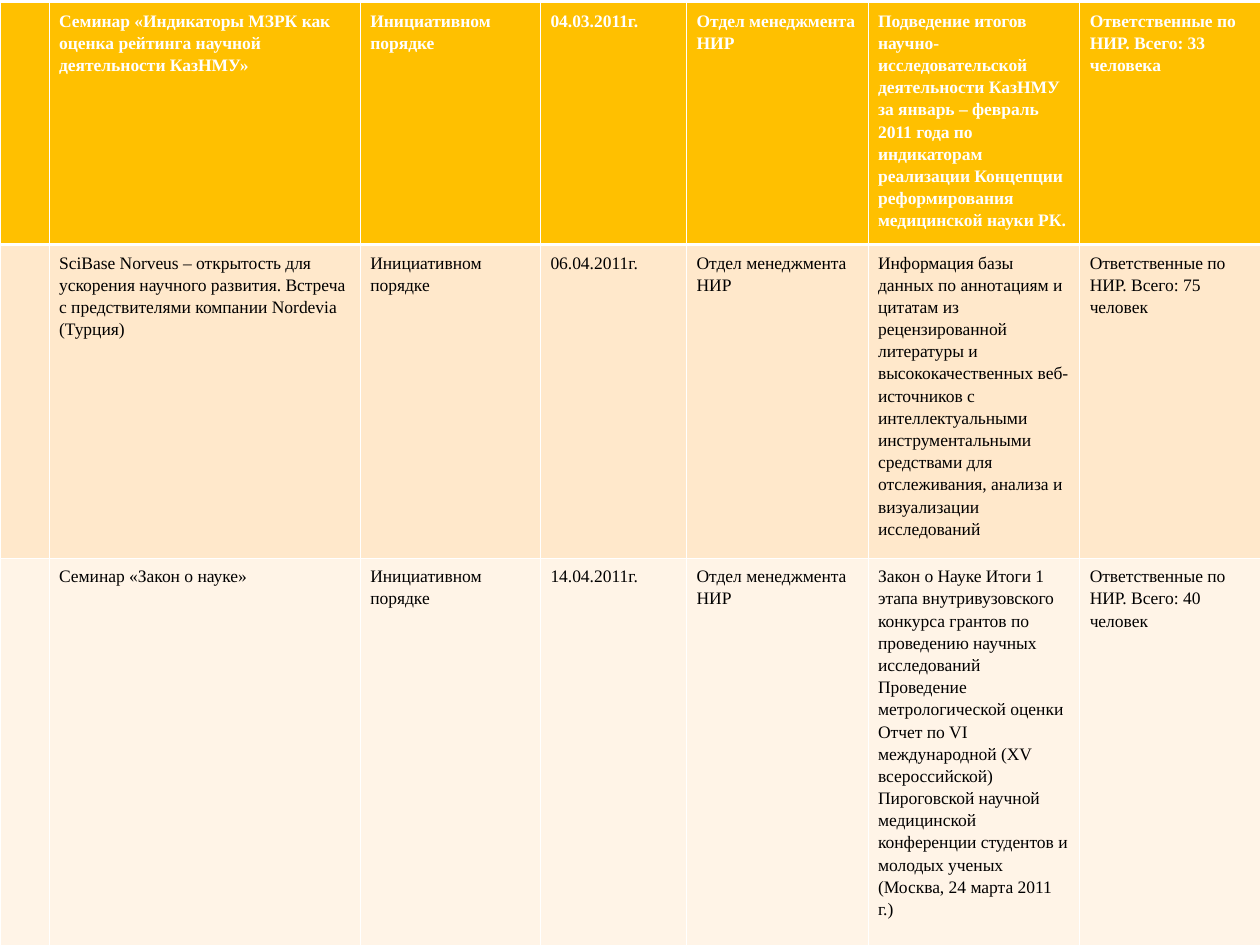
from lxml import etree
from pptx import Presentation
from pptx.dml.color import RGBColor
from pptx.oxml.ns import qn
from pptx.util import Inches, Pt

FONT = "Times New Roman"
WHITE = "FFFFFF"
BLACK = "000000"
THIN, THICK = 0.45, 1.47
COLUMN_WIDTHS = [0.39, 2.47, 1.43, 1.16, 1.44, 1.68, 1.43]
ROW_HEIGHTS = [1.92, 2.49, 3.07]
ROW_STYLES = [
    ("FFC000", WHITE, True, THIN, THICK),
    ("FFE8CB", BLACK, False, THICK, THIN),
    ("FFF4E7", BLACK, False, THIN, THIN),
]
ORDER = "Инициативном порядке"
DEPARTMENT = "Отдел менеджмента НИР"
EVENTS = [
    (
        "Семинар «Индикаторы МЗРК как оценка рейтинга научной деятельности КазНМУ»",
        "04.03.2011г.",
        "Подведение итогов научно- исследовательской деятельности КазНМУ за январь – "
        "февраль 2011 года по индикаторам реализации Концепции реформирования "
        "медицинской науки РК.",
        "33 человека",
    ),
    (
        "SciBase Norveus – открытость для ускорения научного развития. Встреча "
        "с предствителями компании Nordevia (Турция)",
        "06.04.2011г.",
        "Информация базы данных по аннотациям и цитатам из рецензированной литературы "
        "и высококачественных веб-источников с интеллектуальными инструментальными "
        "средствами для отслеживания, анализа и визуализации исследований",
        "75 человек",
    ),
    (
        "Семинар «Закон о науке»",
        "14.04.2011г.",
        "Закон о Науке Итоги 1 этапа внутривузовского конкурса грантов по проведению "
        "научных исследований Проведение метрологической оценки Отчет по VI "
        "международной (XV всероссийской) Пироговской научной медицинской конференции "
        "студентов и молодых ученых (Москва, 24 марта 2011 г.)",
        "40 человек",
    ),
]


def rgb(color):
    return RGBColor.from_string(color)


def set_borders(cell, top, bottom):
    properties = cell._tc.get_or_add_tcPr()
    sides = {"a:lnL": THIN, "a:lnR": THIN, "a:lnT": top, "a:lnB": bottom}
    for side, width in sides.items():
        border = etree.SubElement(properties, qn(side), w=str(Pt(width)))
        fill = etree.SubElement(border, qn("a:solidFill"))
        etree.SubElement(fill, qn("a:srgbClr"), val=WHITE)


def add_tabs(paragraph):
    tabs = etree.SubElement(paragraph._p.get_or_add_pPr(), qn("a:tabLst"))
    for position in range(8):
        etree.SubElement(tabs, qn("a:tab"), pos=str(Inches(position)), algn="l")


def fill_cell(cell, text, style):
    background, text_color, bold, top, bottom = style
    set_borders(cell, top, bottom)
    cell.fill.solid()
    cell.fill.fore_color.rgb = rgb(background)
    cell.margin_left = cell.margin_right = Inches(0.08)
    cell.margin_top = cell.margin_bottom = Inches(0.05)
    if not text:
        return
    paragraph = cell.text_frame.paragraphs[0]
    paragraph.text = text
    add_tabs(paragraph)
    paragraph.line_spacing = 1.15
    font = paragraph.runs[0].font
    font.name = FONT
    font.size = Pt(10)
    font.bold = bold
    font.color.rgb = rgb(text_color)


def add_events_table(slide, left, top, width, height):
    events = slide.shapes.add_table(
        len(ROW_HEIGHTS), len(COLUMN_WIDTHS), left, top, width, height
    ).table
    for column, share in zip(events.columns, COLUMN_WIDTHS):
        column.width = int(width * share / sum(COLUMN_WIDTHS))
    for row, share, event, style in zip(events.rows, ROW_HEIGHTS, EVENTS, ROW_STYLES):
        row.height = int(height * share / sum(ROW_HEIGHTS))
        title, date, content, attendance = event
        audience = f"Ответственные по НИР. Всего: {attendance}"
        texts = ["", title, ORDER, date, DEPARTMENT, content, audience]
        for cell, text in zip(row.cells, texts):
            fill_cell(cell, text, style)


def main():
    presentation = Presentation()
    presentation.slide_width = Inches(10)
    presentation.slide_height = Inches(7.5)
    slide = presentation.slides.add_slide(presentation.slide_layouts[6])
    add_events_table(slide, Inches(0), Inches(0.02), Inches(10), Inches(7.48))
    presentation.save("out.pptx")


if __name__ == "__main__":
    main()
